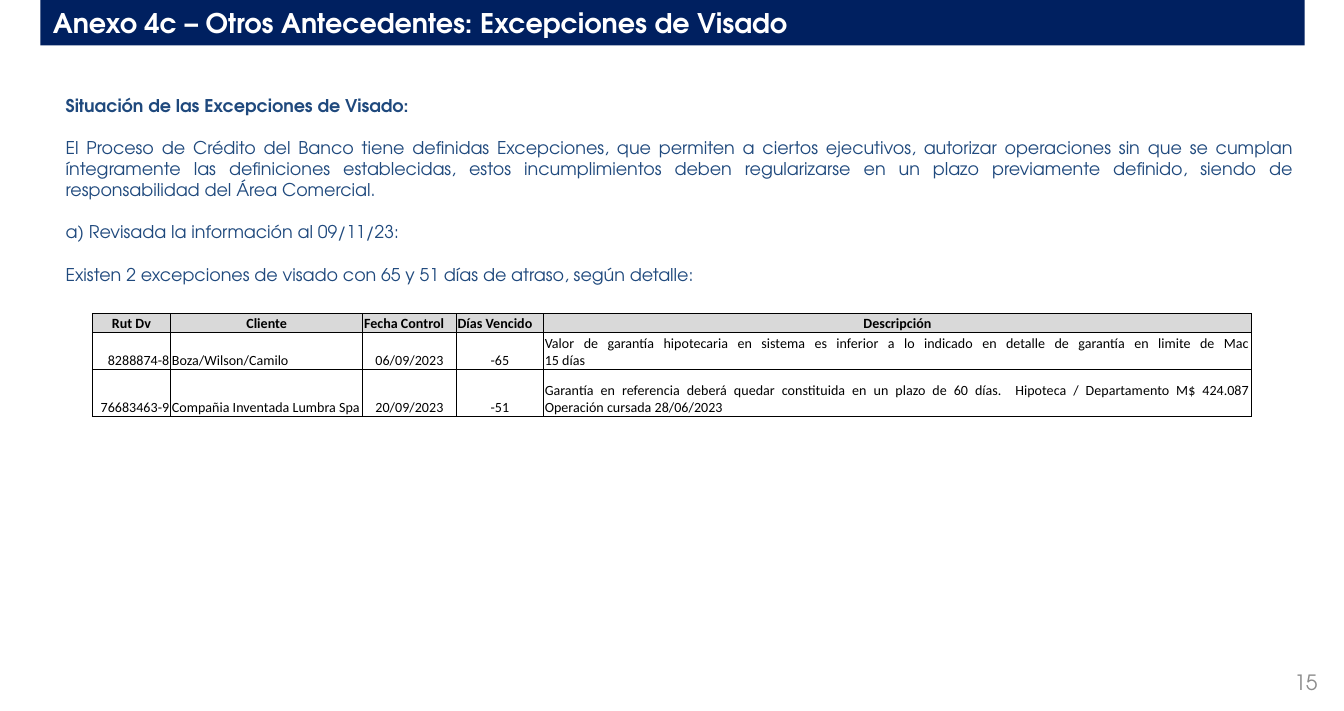
from lxml import etree
from pptx import Presentation
from pptx.dml.color import RGBColor
from pptx.enum.shapes import MSO_SHAPE
from pptx.enum.text import MSO_ANCHOR, PP_ALIGN
from pptx.oxml.ns import qn
from pptx.util import Emu, Pt

PX = 9144
NAVY = RGBColor(0x00, 0x20, 0x60)
BLUE = RGBColor(0x1F, 0x49, 0x7D)
WHITE = RGBColor(0xFF, 0xFF, 0xFF)
BLACK = RGBColor(0x00, 0x00, 0x00)
GRAY = RGBColor(0x8C, 0x8C, 0x8C)
HEADER_FILL = RGBColor(0xD9, 0xD9, 0xD9)
RECT = MSO_SHAPE.RECTANGLE
MIDDLE, BOTTOM = MSO_ANCHOR.MIDDLE, MSO_ANCHOR.BOTTOM
LEFT, CENTER = PP_ALIGN.LEFT, PP_ALIGN.CENTER
RIGHT, JUSTIFY = PP_ALIGN.RIGHT, PP_ALIGN.JUSTIFY
ADVENTOR, CALIBRI = "TeX Gyre Adventor", "Calibri"

TITLE = "Anexo 4c – Otros Antecedentes: Excepciones de Visado"
HEADING = "Situación de las Excepciones de Visado:"
PARAGRAPHS = [
    "El Proceso de Crédito del Banco tiene definidas Excepciones, que permiten a "
    "ciertos ejecutivos, autorizar operaciones sin que se cumplan íntegramente las "
    "definiciones establecidas, estos incumplimientos deben regularizarse en un plazo "
    "previamente definido, siendo de responsabilidad del Área Comercial.",
    "a) Revisada la información al 09/11/23:",
    "Existen 2 excepciones de visado con 65 y 51 días de atraso, según detalle:",
]
COLUMNS = [
    ("Rut Dv", 62, CENTER, RIGHT),
    ("Cliente", 152, CENTER, LEFT),
    ("Fecha Control", 74, LEFT, CENTER),
    ("Días Vencido", 69, LEFT, CENTER),
    ("Descripción", 560, CENTER, JUSTIFY),
]
ROW_HEIGHTS = [15, 29, 37]
EXCEPTIONS = [
    ["8288874-8", "Boza/Wilson/Camilo", "06/09/2023", "-65",
     "Valor de garantía hipotecaria en sistema es inferior a lo indicado en detalle "
     "de garantía en limite de Mac\n15 días"],
    ["76683463-9", "Compañia Inventada Lumbra Spa", "20/09/2023", "-51",
     "Garantía en referencia deberá quedar constituida en un plazo de 60 días.  "
     "Hipoteca / Departamento M$ 424.087\nOperación cursada 28/06/2023"],
]


def px(*lengths):
    """Turn px lengths into EMU."""
    return [Emu(length * PX) for length in lengths]


def add_text(p, text, size, color, font=ADVENTOR, bold=False, align=LEFT):
    """Write text into a paragraph, with a line break at each newline."""
    p.alignment = align
    for i, line in enumerate(text.split("\n")):
        if i:
            p.add_line_break()
        r = p.add_run()
        r.text = line
        r.font.name = font
        r.font.size = Pt(size)
        r.font.bold = bold
        r.font.color.rgb = color


def add_title(slide, box):
    """Draw the title bar."""
    sp = slide.shapes.add_shape(RECT, *px(*box))
    sp.shadow.inherit = False
    sp.fill.solid()
    sp.fill.fore_color.rgb = NAVY
    sp.line.fill.background()
    tf = sp.text_frame
    tf.word_wrap = True
    tf.vertical_anchor = MIDDLE
    add_text(tf.paragraphs[0], TITLE, 15.4, WHITE, bold=True)


def add_body(slide, box):
    """Write the heading and the paragraphs below it."""
    tf = slide.shapes.add_textbox(*px(*box)).text_frame
    tf.word_wrap = True
    tf.margin_left = px(20)[0]
    for i, text in enumerate([HEADING] + PARAGRAPHS):
        p = tf.add_paragraph() if i else tf.paragraphs[0]
        p.space_after = Pt(12)
        add_text(p, text, 10, BLUE, bold=i == 0, align=JUSTIFY)


def add_borders(cell):
    """Put a thin black line on each side of a cell."""
    tc_pr = cell._tc.get_or_add_tcPr()
    for i, side in enumerate(("a:lnL", "a:lnR", "a:lnT", "a:lnB")):
        ln = etree.Element(qn(side), w=str(Pt(0.5)))
        fill = etree.SubElement(ln, qn("a:solidFill"))
        etree.SubElement(fill, qn("a:srgbClr"), val=str(BLACK))
        tc_pr.insert(i, ln)


def add_exceptions(slide, box):
    """Draw the table of exceptions."""
    rows = [[name for name, *_ in COLUMNS]] + EXCEPTIONS
    table = slide.shapes.add_table(len(rows), len(COLUMNS), *px(*box)).table
    table.horz_banding = False
    for column, (_, width, *_) in zip(table.columns, COLUMNS):
        column.width = px(width)[0]
    for i, (row, height) in enumerate(zip(table.rows, ROW_HEIGHTS)):
        row.height = px(height)[0]
        header = i == 0
        for cell, text, column in zip(row.cells, rows[i], COLUMNS):
            cell.fill.solid()
            cell.fill.fore_color.rgb = HEADER_FILL if header else WHITE
            cell.margin_left, cell.margin_right, cell.margin_top, cell.margin_bottom = px(1, 1, 1, 0)
            cell.vertical_anchor = BOTTOM
            add_text(cell.text_frame.paragraphs[0], text, 8, BLACK, CALIBRI,
                     bold=header, align=column[2] if header else column[3])
            add_borders(cell)


def add_page_number(slide, box):
    """Write the page number."""
    tf = slide.shapes.add_textbox(*px(*box)).text_frame
    tf.word_wrap = True
    tf.vertical_anchor = MIDDLE
    add_text(tf.paragraphs[0], "15", 12, GRAY, align=RIGHT)


def main():
    """Build the slide and save it."""
    prs = Presentation()
    prs.slide_width, prs.slide_height = px(1063, 562)
    slide = prs.slides.add_slide(prs.slide_layouts[6])
    add_title(slide, (32, 0, 1000, 36))
    add_body(slide, (32, 70, 1000, 170))
    add_page_number(slide, (995, 524, 57, 30))
    add_exceptions(slide, (73, 248, 917, 81))
    prs.save("out.pptx")


if __name__ == "__main__":
    main()
